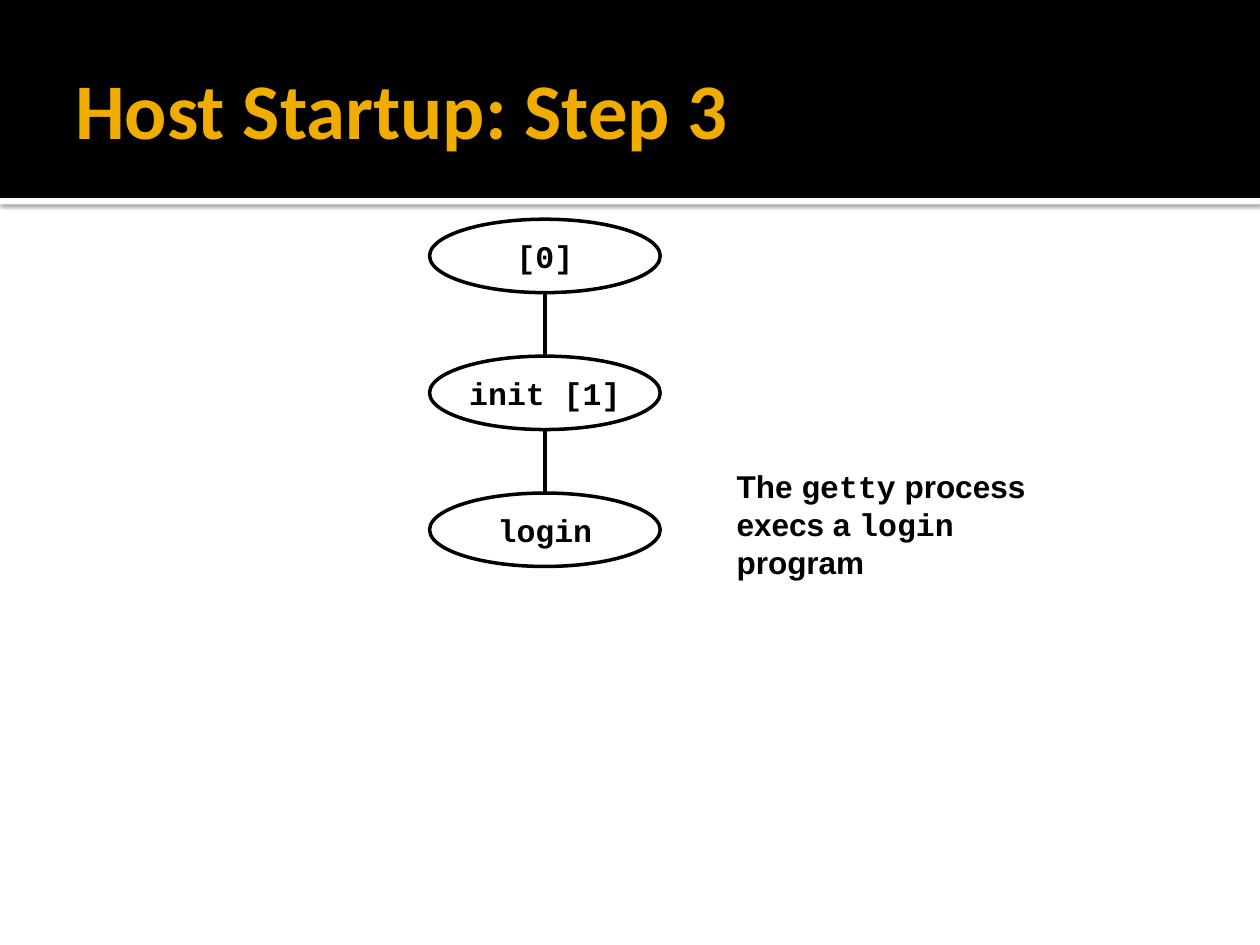
from lxml import etree
from pptx import Presentation
from pptx.dml.color import RGBColor
from pptx.enum.shapes import MSO_CONNECTOR, MSO_SHAPE
from pptx.enum.text import MSO_ANCHOR, PP_ALIGN
from pptx.oxml import parse_xml
from pptx.oxml.ns import nsdecls, qn
from pptx.util import Cm, Pt

BLACK, WHITE, GOLD = "000000", "FFFFFF", "F0AD00"
SANS, MONO = "Arial", "Courier New"
LEFT, TOP, WIDE, HIGH, STEP = 8.66, 4.42, 4.65, 1.48, 2.76


def color(code):
    """Turn a hex string into a colour."""
    return RGBColor.from_string(code)


def add_run(para, text, font, size=18, code=BLACK):
    """Add one bold run to a paragraph."""
    run = para.add_run()
    run.text = text
    run.font.name = font
    run.font.size = Pt(size)
    run.font.bold = True
    run.font.color.rgb = color(code)


def add_form(slide, kind, box, fill):
    """Add a flat filled shape without an outline."""
    form = slide.shapes.add_shape(kind, *map(Cm, box))
    form.shadow.inherit = False
    form.fill.solid()
    form.fill.fore_color.rgb = color(fill)
    form.line.fill.background()
    return form


def add_shade(form):
    """Give a shape a soft shadow below it."""
    props = form._element.spPr
    props.remove(props.find(qn("a:effectLst")))
    props.append(parse_xml(
        f'<a:effectLst {nsdecls("a")}>'
        f'<a:outerShdw blurRad="{Pt(2.5)}" dist="{Pt(0.8)}" dir="5400000" '
        f'algn="tl" rotWithShape="0"><a:srgbClr val="{BLACK}">'
        '<a:alpha val="60000"/></a:srgbClr></a:outerShdw></a:effectLst>'))


def add_node(slide, text, top):
    """Add an outlined process ellipse with a centred name."""
    node = add_form(slide, MSO_SHAPE.OVAL, (LEFT, top, WIDE, HIGH), WHITE)
    node.line.color.rgb = color(BLACK)
    node.line.width = Pt(2)
    frame = node.text_frame
    frame.word_wrap = False
    frame.vertical_anchor = MSO_ANCHOR.MIDDLE
    para = frame.paragraphs[0]
    para.alignment = PP_ALIGN.CENTER
    add_run(para, text, MONO)


def add_link(slide, top, end):
    """Add a vertical line between two process ellipses."""
    mid = Cm(LEFT + WIDE / 2)
    link = slide.shapes.add_connector(
        MSO_CONNECTOR.STRAIGHT, mid, Cm(top), mid, Cm(end))
    link.line.color.rgb = color(BLACK)
    link.line.width = Pt(2)
    etree.SubElement(link._element.spPr, qn("a:effectLst"))


def add_text(slide, box, anchor=MSO_ANCHOR.TOP):
    """Add a wrapping text box and return its frame."""
    frame = slide.shapes.add_textbox(*map(Cm, box)).text_frame
    frame.word_wrap = True
    frame.vertical_anchor = anchor
    return frame


def main():
    """Build the slide and save it."""
    deck = Presentation()
    deck.slide_width, deck.slide_height = Cm(25.4), Cm(19.05)
    slide = deck.slides.add_slide(deck.slide_layouts[6])

    strip = add_form(slide, MSO_SHAPE.RECTANGLE, (0, 3.99, 25.4, 0.13), WHITE)
    add_shade(strip)
    add_form(slide, MSO_SHAPE.RECTANGLE, (0, 0, 25.4, 3.99), BLACK)

    title = add_text(slide, (1.27, 0.43, 22.86, 3.48), MSO_ANCHOR.MIDDLE)
    add_run(title.paragraphs[0], "Host Startup: Step 3", "Calibri", 45, GOLD)

    for row, name in enumerate(("[0]", "init [1]", "login")):
        top = TOP + row * STEP
        add_node(slide, name, top)
        if row:
            add_link(slide, top - STEP + HIGH, top)

    note = add_text(slide, (14.6, 9.3, 6.55, 2.54)).paragraphs[0]
    for text, font in (("The ", SANS), ("getty", MONO),
                       (" process execs a ", SANS), ("login", MONO),
                       (" program", SANS)):
        add_run(note, text, font)

    deck.save("out.pptx")


if __name__ == "__main__":
    main()
